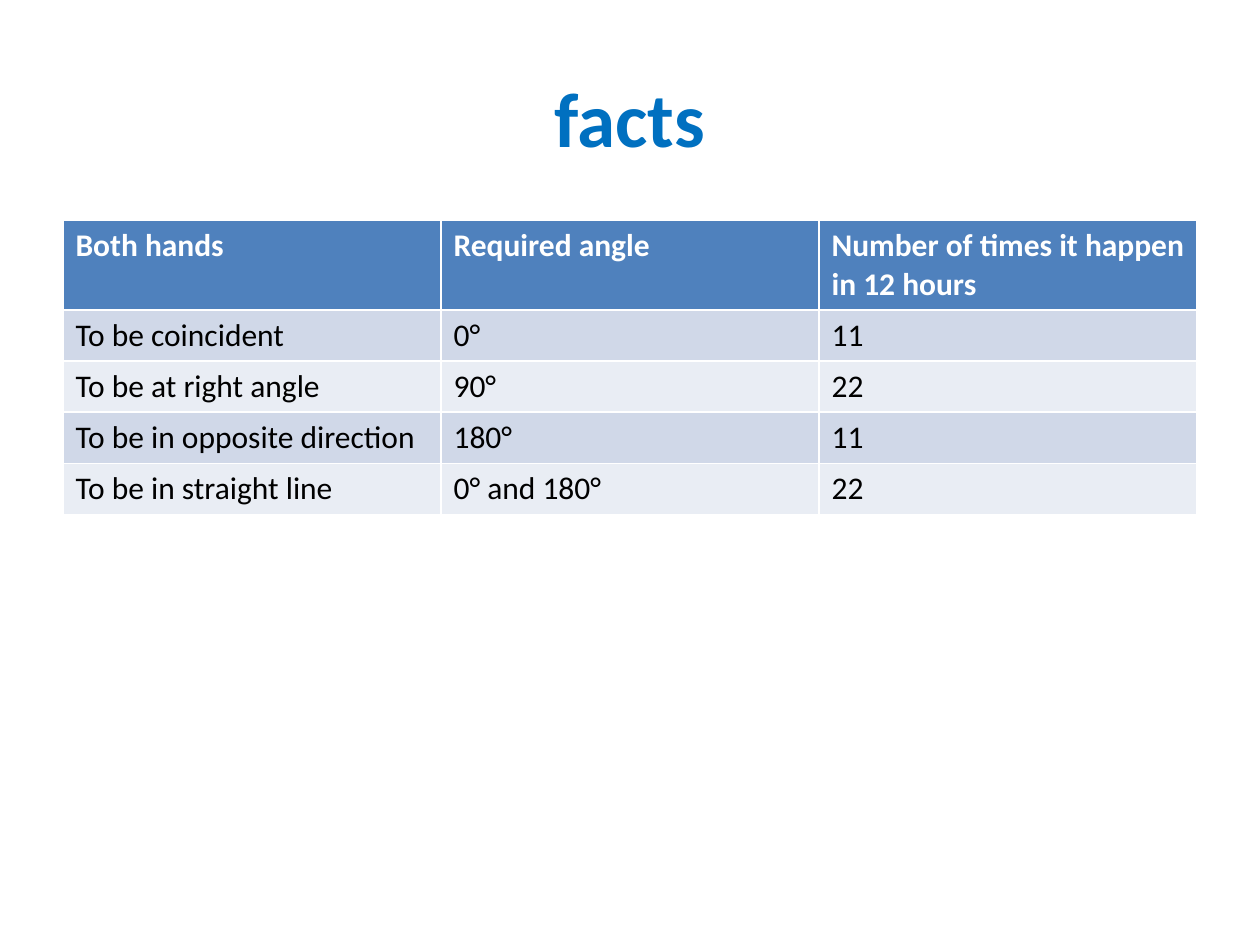
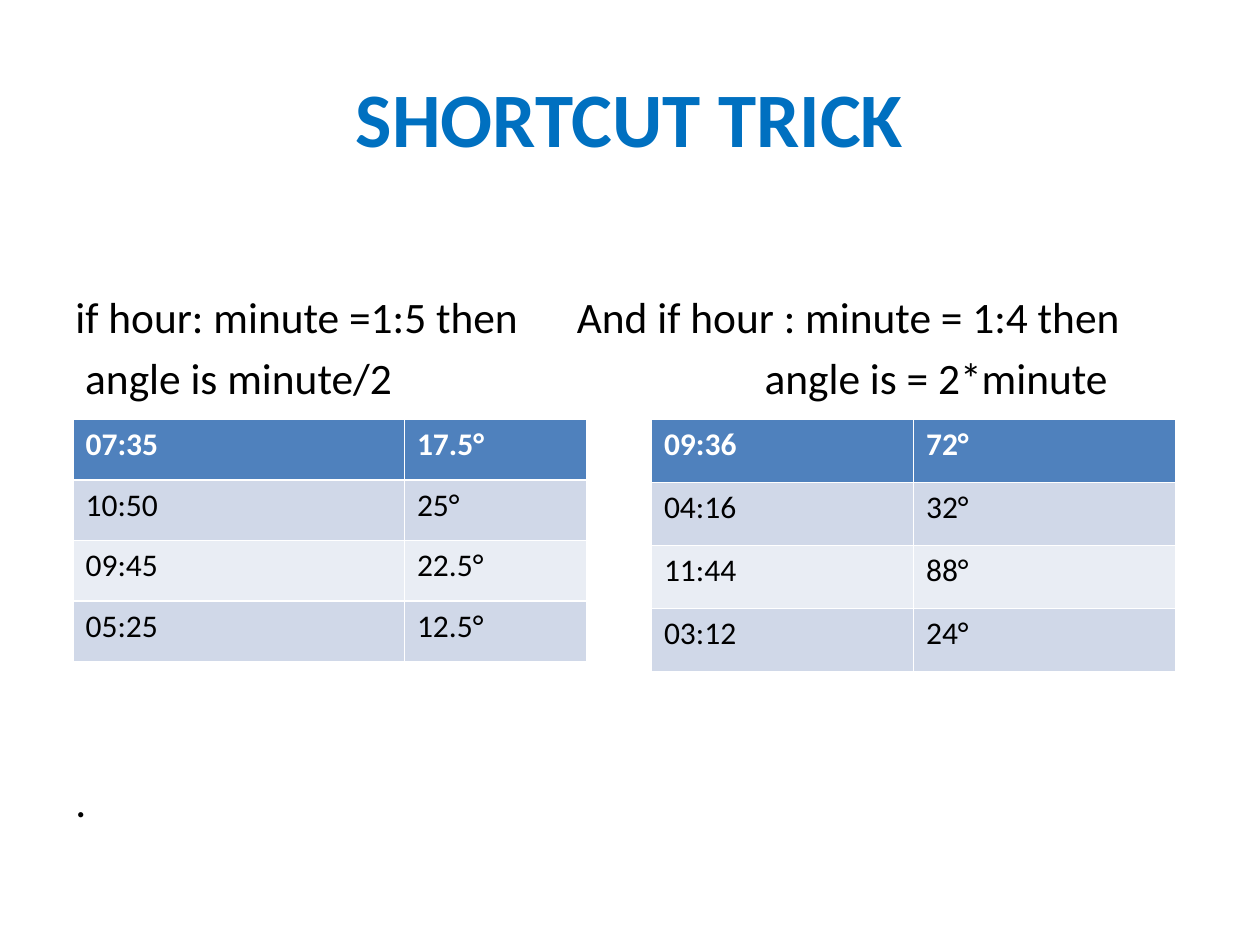
"""Build two slides of clock-angle facts and shortcuts."""
from lxml import etree
from pptx import Presentation
from pptx.dml.color import RGBColor
from pptx.enum import text
from pptx.oxml.ns import qn
from pptx.util import Inches, Pt

HUES = {"title": "0070C0", "head": "4F81BD", "odd": "D0D8E8",
        "even": "E9EDF4", "white": "FFFFFF", "black": "000000"}


def style(para, size, hue, bold=False):
    font = para.font
    font.name, font.size, font.bold = "Calibri", Pt(size), bold
    font.color.rgb = RGBColor.from_string(HUES[hue])


def add_grid(slide, left, top, widths, heights, rows):
    frame = slide.shapes.add_table(len(rows), len(widths), Inches(left), Inches(top),
                                   Inches(sum(widths)), Inches(sum(heights)))
    grid = frame.table
    for col, width in zip(grid.columns, widths):
        col.width = Inches(width)
    for r, (row, height) in enumerate(zip(rows, heights)):
        grid.rows[r].height = Inches(height)
        fill = "head" if r == 0 else "odd" if r % 2 else "even"
        for c, words in enumerate(row):
            cell = grid.cell(r, c)
            cell.text = words
            cell.fill.solid()
            cell.fill.fore_color.rgb = RGBColor.from_string(HUES[fill])
            style(cell.text_frame.paragraphs[0], 18, "black" if r else "white", r == 0)


deck = Presentation()
deck.slide_width, deck.slide_height = Inches(10), Inches(7.5)

slides = []
for words in ["facts", "SHORTCUT TRICK"]:
    slide = deck.slides.add_slide(deck.slide_layouts[5])
    title = slide.shapes.title
    title.left, title.top = Inches(0.5), Inches(0.3)
    title.width, title.height = Inches(9), Inches(1.25)
    title.text = words
    title.text_frame.vertical_anchor = text.MSO_ANCHOR.MIDDLE
    para = title.text_frame.paragraphs[0]
    para.alignment = text.PP_ALIGN.CENTER
    style(para, 44, "title", True)
    slides.append(slide)
facts, trick = slides

add_grid(facts, 0.5, 1.75, [3] * 3, [0.7] + [0.405] * 4, [
    ("Both hands", "Required angle", "Number of times it happen in 12 hours"),
    ("To be coincident", "0°", "11"),
    ("To be at right angle", "90°", "22"),
    ("To be in opposite direction", "180°", "11"),
    ("To be in straight line", "0° and 180°", "22"),
])

body = trick.shapes.add_textbox(Inches(0.5), Inches(1.75), Inches(9), Inches(4.95))
frame = body.text_frame
frame.word_wrap = True
frame.margin_top = Inches(0.55)
lines = [("if hour: minute =1:5 then\tAnd if hour : minute = 1:4 then", 3.98, 0),
         (" angle is minute/2\tangle is = 2*minute", 5.47, 5),
         (".", None, 212)]
for i, (words, stop, gap) in enumerate(lines):
    para = frame.add_paragraph() if i else frame.paragraphs[0]
    para.text = words
    para.space_before = Pt(gap)
    if stop:
        tabs = etree.SubElement(para._p.get_or_add_pPr(), qn("a:tabLst"))
        etree.SubElement(tabs, qn("a:tab"), pos=str(Inches(stop)), algn="l")
    style(para, 24.8, "black")

add_grid(trick, 0.58, 3.33, [2.63, 1.45], [0.48] * 4, [
    ("07:35", "17.5°"), ("10:50", "25°"), ("09:45", "22.5°"), ("05:25", "12.5°")])
add_grid(trick, 5.17, 3.33, [2.08] * 2, [0.5] * 4, [
    ("09:36", "72°"), ("04:16", "32°"), ("11:44", "88°"), ("03:12", "24°")])

deck.save("out.pptx")
